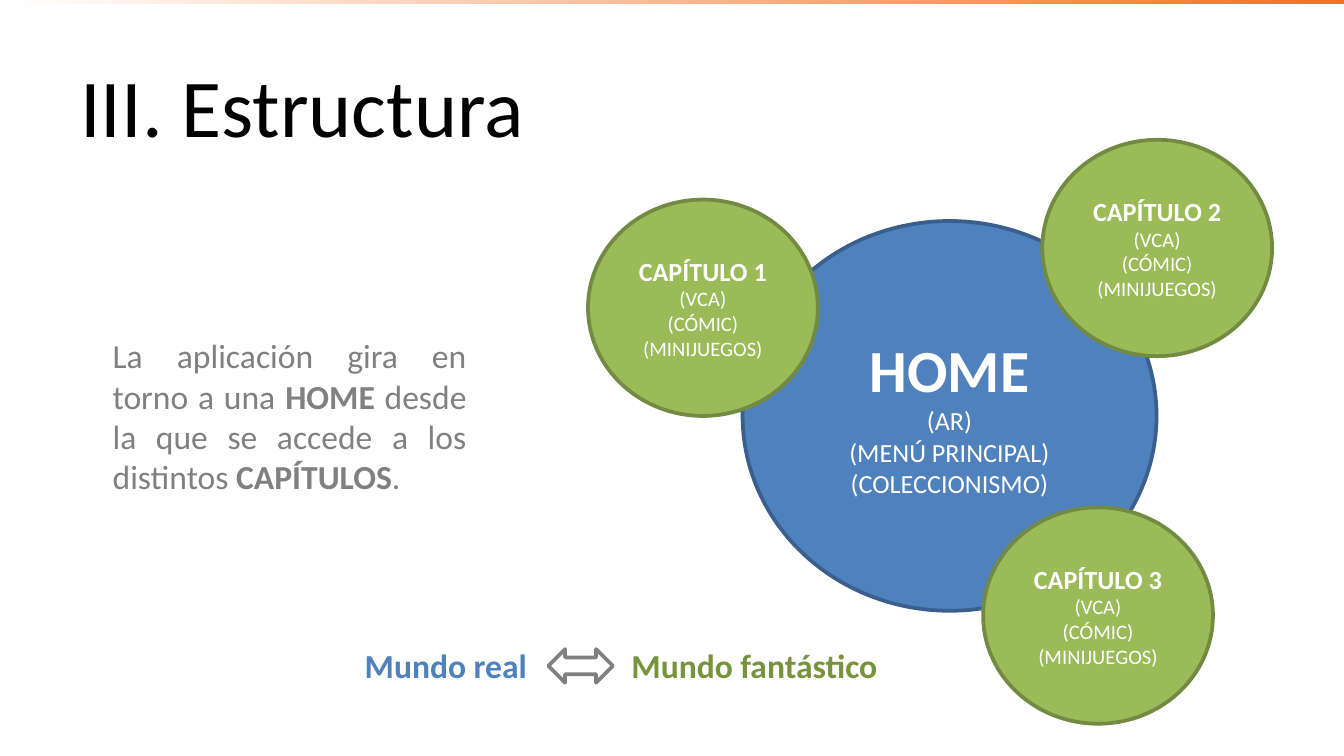
import pptx
import pptx.util
import pptx.dml.color
import pptx.enum.shapes
import pptx.enum.text

Kind = pptx.enum.shapes.MSO_SHAPE
Align = pptx.enum.text.PP_ALIGN
Anchor = pptx.enum.text.MSO_ANCHOR

# Content: each paragraph is a list of (text, style) runs
TITLE = [[("III. Estructura", "title")]]
INTRO = [[
    ("La aplicación gira en torno a una ", "body"), ("HOME", "strong"),
    (" desde la que se accede a los distintos ", "body"),
    ("CAPÍTULOS", "strong"), (".", "body"),
]]
HOME = ("HOME", ["(AR)", "(MENÚ PRINCIPAL)", "(COLECCIONISMO)"])
PARTS = ["(VCA)", "(CÓMIC)", "(MINIJUEGOS)"]
# Chapter number and top left corner, back to front
CHAPTERS = [(3, 1463, 755), (1, 875, 297), (2, 1551, 208)]
WORLDS = [("Mundo real", "real", 523, 284), ("Mundo fantástico", "magic", 920, 408)]

# Theme
THEME = {
    "font": "Calibri",
    "line": 2,
    "bar": ("FFFFFF", "F47121"),
    "home": ("4F81BD", "3A5F8C"),
    "chapter": ("9BBB59", "738A42"),
    "arrow": ("FFFFFF", "808080"),
    # style: size, colour, bold
    "text": {
        "title": (44, "000000", False),
        "body": (18, "808080", False),
        "strong": (18, "808080", True),
        "real": (18, "4F81BD", True),
        "magic": (18, "77933C", True),
        "hub": (32, "FFFFFF", True),
        "item": (14, "FFFFFF", False),
        "head": (14, "FFFFFF", True),
        "part": (11, "FFFFFF", False),
    },
}

# Scale: 200 px to the inch, a 16:9 slide
SCALE = 4572
WIDE, HIGH = 2000, 1125
SIZE = (342, 322)

deck = pptx.Presentation()
deck.slide_width, deck.slide_height = WIDE * SCALE, HIGH * SCALE
slide = deck.slides.add_slide(deck.slide_layouts[6])


def emu(box):
    return [n * SCALE for n in box]


def color(code):
    return pptx.dml.color.RGBColor.from_string(code)


def apply(item, values):
    for name, value in values.items():
        setattr(item, name, value)


def write(shape, paras, align, anchor):
    frame = shape.text_frame
    apply(frame, {"word_wrap": True, "vertical_anchor": anchor})
    for i, runs in enumerate(paras):
        para = frame.add_paragraph() if i else frame.paragraphs[0]
        para.alignment = align
        for text, style in runs:
            size, code, bold = THEME["text"][style]
            run = para.add_run()
            run.text = text
            apply(run.font, {"name": THEME["font"], "bold": bold,
                             "size": pptx.util.Pt(size)})
            run.font.color.rgb = color(code)


def label(box, paras, align, anchor=Anchor.TOP):
    write(slide.shapes.add_textbox(*emu(box)), paras, align, anchor)


def draw(kind, box, look):
    shape = slide.shapes.add_shape(kind, *emu(box))
    shape.shadow.inherit = False
    fill, line = THEME[look]
    shape.fill.solid()
    shape.fill.fore_color.rgb = color(fill)
    shape.line.color.rgb = color(line)
    shape.line.width = pptx.util.Pt(THEME["line"])
    return shape


def bubble(box, look, head, items, styles):
    paras = [[(head, styles[0])]] + [[(item, styles[1])] for item in items]
    write(draw(Kind.OVAL, box, look), paras, Align.CENTER, Anchor.MIDDLE)


# Top bar
bar = slide.shapes.add_shape(Kind.RECTANGLE, *emu((2, -2, WIDE, 8)))
bar.shadow.inherit = False
bar.line.fill.background()
bar.fill.gradient()
bar.fill.gradient_angle = 0
for stop, code, place in zip(bar.fill.gradient_stops, THEME["bar"], (0, 1)):
    stop.color.rgb = color(code)
    stop.position = place

# Title
label((100, 62, 1800, 188), TITLE, Align.LEFT, Anchor.MIDDLE)

# Home and its chapters
bubble((1105, 329, 616, 580), "home", *HOME, ("hub", "item"))
for num, left, top in CHAPTERS:
    bubble((left, top, *SIZE), "chapter", f"CAPÍTULO {num}", PARTS, ("head", "part"))

# Explanation
label((148, 489, 566, 262), INTRO, Align.JUSTIFY)

# Legend of worlds
for text, style, left, width in WORLDS:
    label((left, 950, width, 80), [[(text, style)]], Align.JUSTIFY)
draw(Kind.LEFT_RIGHT_ARROW, (816, 966, 96, 50), "arrow")

deck.save("out.pptx")
